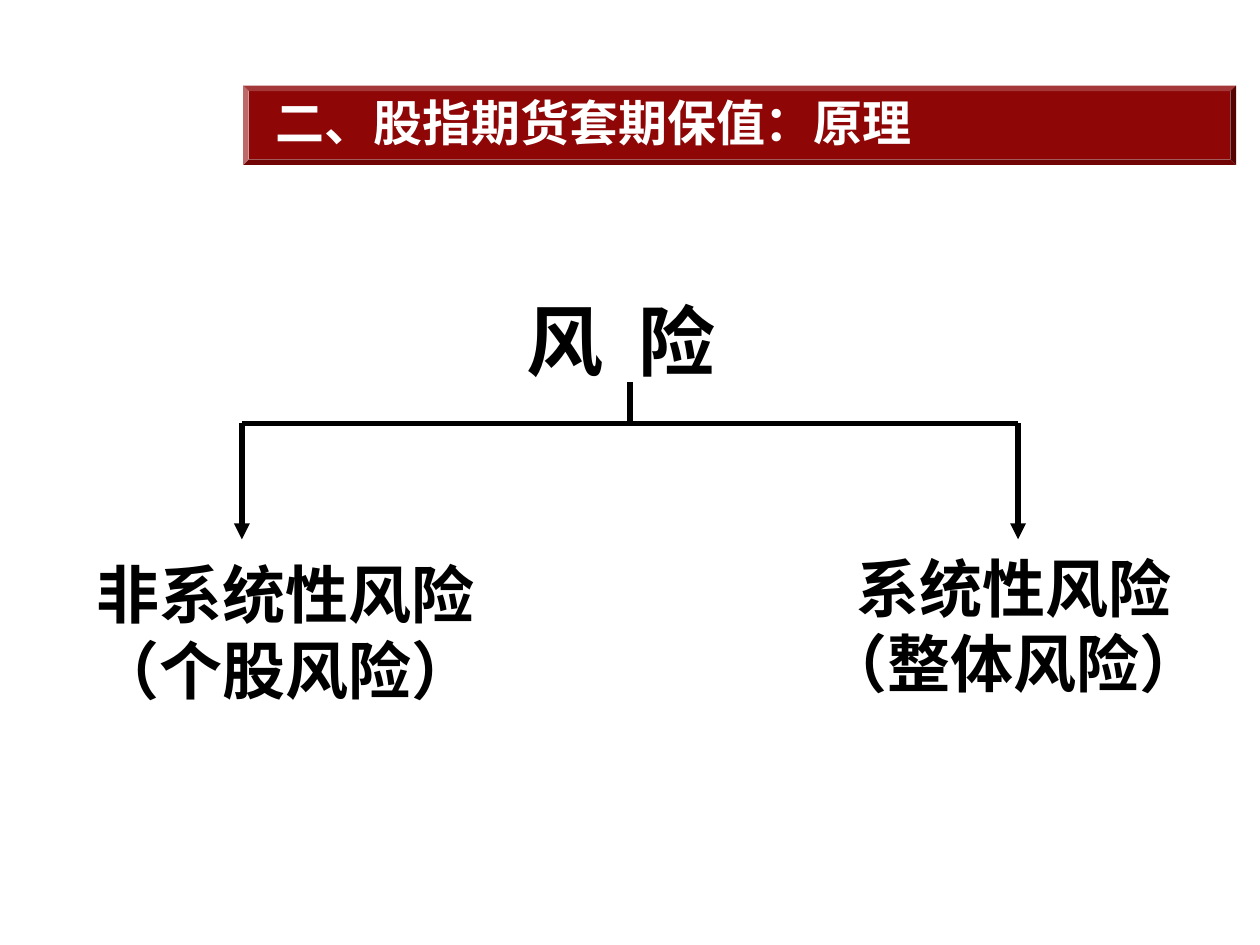
from dataclasses import dataclass

from lxml.etree import SubElement
from pptx import Presentation
from pptx.dml.color import RGBColor
from pptx.enum.shapes import MSO_CONNECTOR, MSO_SHAPE
from pptx.enum.text import MSO_ANCHOR, PP_ALIGN
from pptx.oxml.ns import qn
from pptx.util import Inches, Pt


@dataclass(frozen=True)
class Theme:
    banner: RGBColor = RGBColor(0x8E, 0x06, 0x06)
    title_ink: RGBColor = RGBColor(0xFF, 0xFF, 0xFF)
    ink: RGBColor = RGBColor(0, 0, 0)
    title_font: str = "DejaVu Sans"
    body_font: str = "Arial"
    title_size: int = 28
    root_size: int = 44
    branch_size: int = 36
    line_width: int = 3


class SlideBuilder:
    """Draws styled elements on the current slide."""

    def __init__(self, page, theme):
        self.page = page
        self.theme = theme

    def banner(self, left, top, width, height):
        shape = self.page.shapes.add_shape(
            MSO_SHAPE.BEVEL, Inches(left), Inches(top), Inches(width), Inches(height))
        shape.adjustments[0] = 0.07
        shape.fill.solid()
        shape.fill.fore_color.rgb = self.theme.banner
        shape.line.fill.background()
        shape.shadow.inherit = False

    def text(self, words, left, top, width, height, size, color=None, font=None,
             align=PP_ALIGN.LEFT, anchor=MSO_ANCHOR.TOP):
        box = self.page.shapes.add_textbox(
            Inches(left), Inches(top), Inches(width), Inches(height))
        frame = box.text_frame
        frame.word_wrap = True
        frame.vertical_anchor = anchor
        para = frame.paragraphs[0]
        para.alignment = align
        span = para.add_run()
        span.text = words
        span.font.name = font or self.theme.body_font
        span.font.size = Pt(size)
        span.font.bold = True
        span.font.color.rgb = color or self.theme.ink

    def line(self, x1, y1, x2, y2, arrow=False):
        connector = self.page.shapes.add_connector(
            MSO_CONNECTOR.STRAIGHT, Inches(x1), Inches(y1), Inches(x2), Inches(y2))
        connector.line.color.rgb = self.theme.ink
        connector.line.width = Pt(self.theme.line_width)
        if arrow:
            SubElement(connector.line._get_or_add_ln(), qn("a:tailEnd"), type="triangle")
        SubElement(connector._element.spPr, qn("a:effectLst"))


def main():
    deck = Presentation()
    deck.slide_width, deck.slide_height = Inches(10), Inches(7.5)
    theme = Theme()
    slide = SlideBuilder(deck.slides.add_slide(deck.slide_layouts[6]), theme)

    slide.banner(1.93, 0.68, 7.88, 0.63)
    slide.text("二、股指期货套期保值：原理", 2.09, 0.63, 7.56, 0.67, theme.title_size,
               theme.title_ink, theme.title_font, anchor=MSO_ANCHOR.MIDDLE)
    slide.text("风  险", 4.08, 2.28, 2.06, 0.84, theme.root_size)

    center, reach, fork = 5, 3.08, 3.36
    branch_ends = (center - reach, center + reach)
    slide.line(center, 3.03, center, fork)
    slide.line(branch_ends[0], fork, branch_ends[1], fork)
    for x in branch_ends:
        slide.line(x, fork, x, 4.28, arrow=True)

    branches = (
        ("非系统性风险（个股风险）", 0.67, 4.36, PP_ALIGN.LEFT),
        ("系统性风险（整体风险）", 6.42, 4.31, PP_ALIGN.CENTER),
    )
    for words, left, top, align in branches:
        slide.text(words, left, top, 3.25, 1.3, theme.branch_size, align=align)

    deck.save("out.pptx")


if __name__ == "__main__":
    main()
